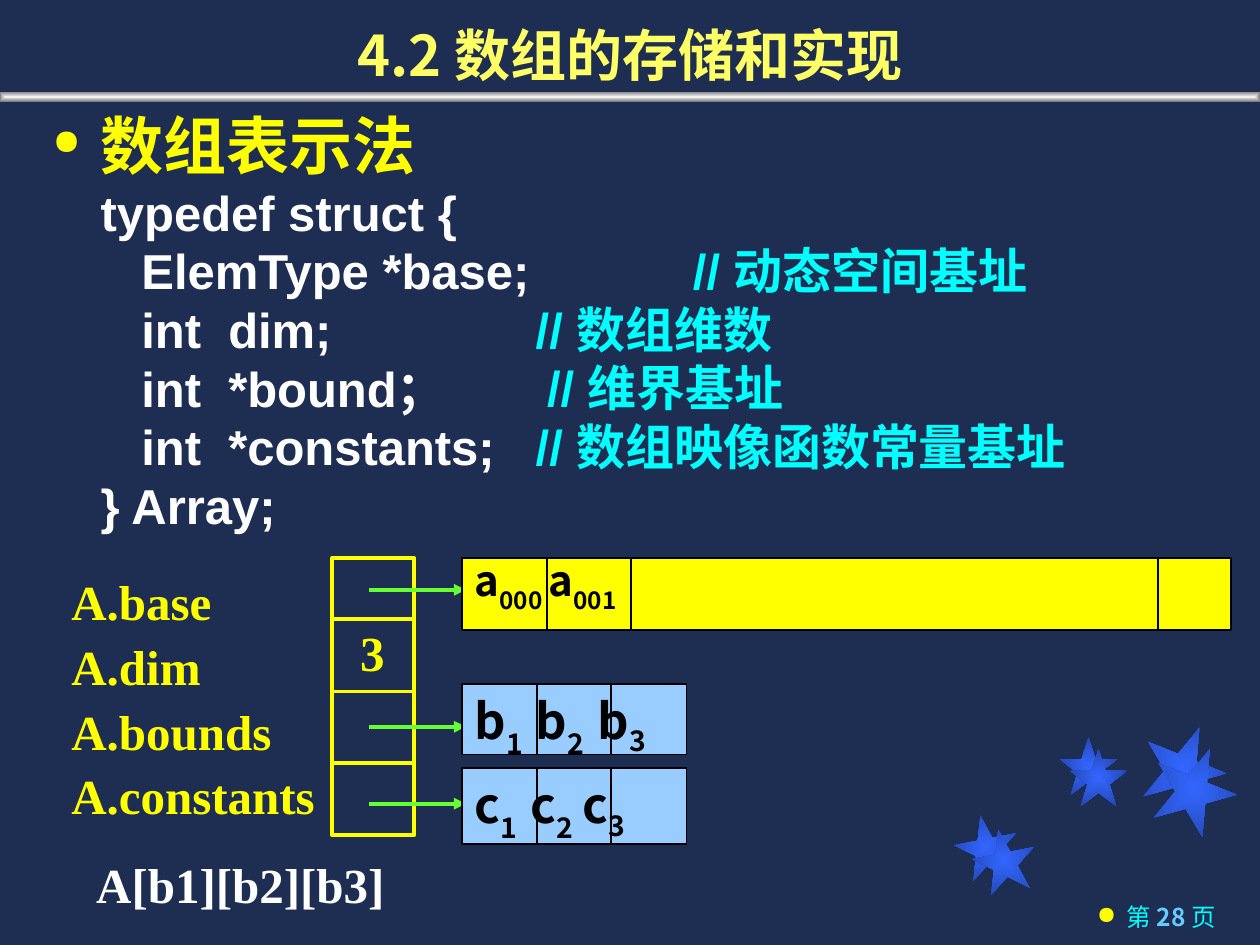
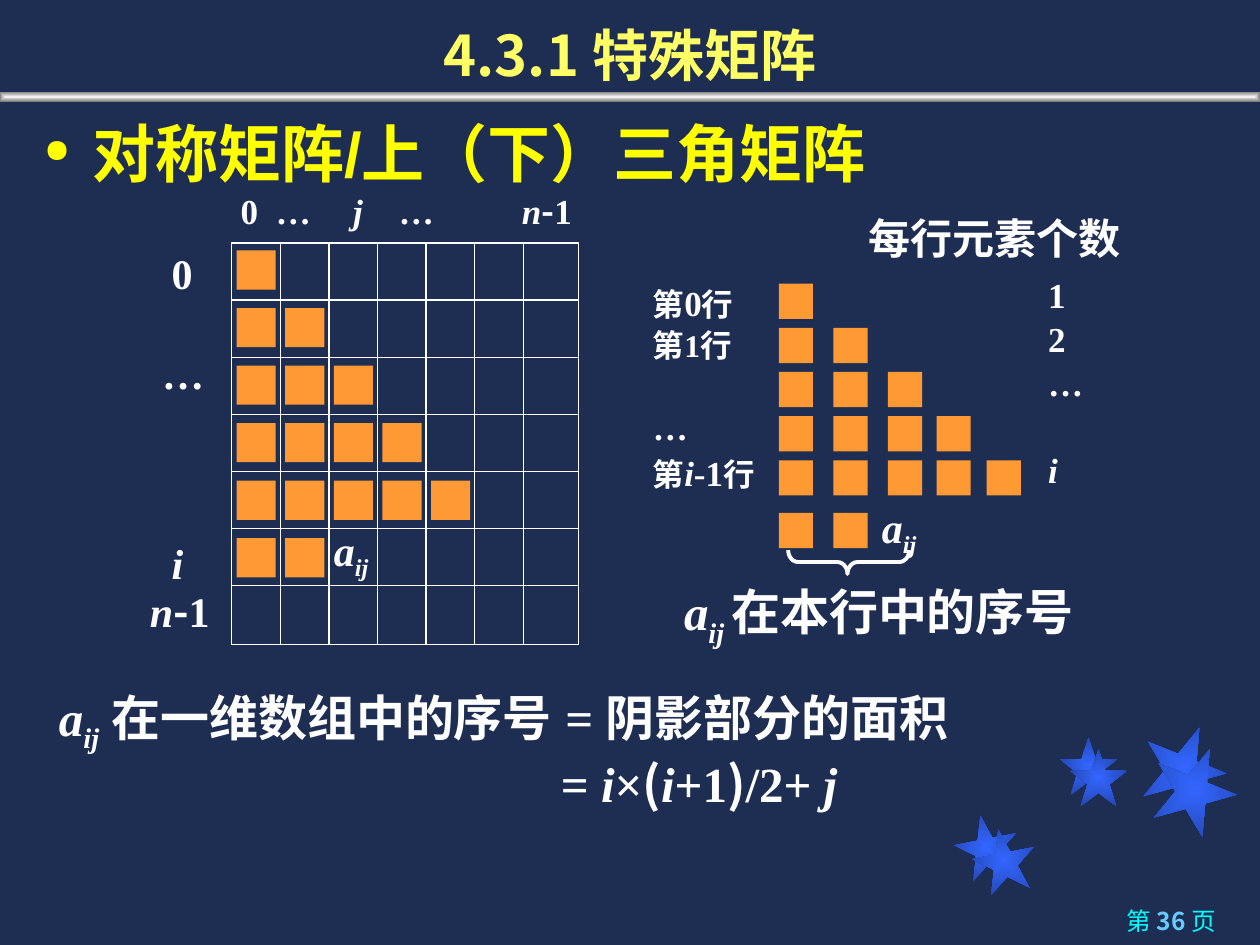
from lxml import etree
from pptx import Presentation
from pptx.dml.color import RGBColor
from pptx.enum.shapes import MSO_CONNECTOR, MSO_SHAPE
from pptx.enum.text import MSO_ANCHOR, PP_ALIGN
from pptx.oxml.ns import qn
from pptx.util import Cm, Pt

RECTANGLE = MSO_SHAPE.RECTANGLE
STAR = MSO_SHAPE.STAR_5_POINT
BRACE = MSO_SHAPE.LEFT_BRACE
STRAIGHT = MSO_CONNECTOR.STRAIGHT
TOP, BOTTOM = MSO_ANCHOR.TOP, MSO_ANCHOR.BOTTOM
CENTER, RIGHT = PP_ALIGN.CENTER, PP_ALIGN.RIGHT

NAVY = RGBColor(0x1E, 0x2E, 0x53)
STAR_CORE = RGBColor(0x33, 0x66, 0xFF)
STAR_EDGE = RGBColor(0x24, 0x49, 0xB6)
BAND_CORE = RGBColor(0xF2, 0xF2, 0xF2)
BAND_EDGE = RGBColor(0x80, 0x80, 0x80)
TITLE_YELLOW = RGBColor(0xFF, 0xFF, 0x66)
YELLOW = RGBColor(0xFF, 0xFF, 0x00)
CYAN = RGBColor(0x00, 0xFF, 0xFF)
SKY = RGBColor(0x66, 0xCC, 0xFF)
PALE_BLUE = RGBColor(0x99, 0xCC, 0xFF)
GREEN = RGBColor(0x66, 0xFF, 0x33)
ORANGE = RGBColor(0xFF, 0x99, 0x33)
WHITE = RGBColor(0xFF, 0xFF, 0xFF)
BLACK = RGBColor(0x00, 0x00, 0x00)

SANS, SERIF, HEI = "Arial", "Times New Roman", "Noto Sans CJK SC"
EAST_ASIAN = {SANS: SANS, SERIF: SANS, HEI: HEI}
DEFAULT_INSETS = (0.25, 0.13, 0.25, 0.13)
NO_INSETS = (0, 0, 0, 0)
ITALIC = {"italic": True}
SUB = {"italic": True, "baseline": -25}
A_IJ = [("a", ITALIC), ("ij", SUB)]


def style(name, size, color, bold=True):
    return {"name": name, "size": size, "color": color, "bold": bold}


HEADING = style(SANS, 36, YELLOW)
SERIF_24 = style(SERIF, 24, WHITE)
SERIF_20 = style(SERIF, 20, WHITE)
SERIF_28 = style(SERIF, 28, WHITE)
LABEL = style(SERIF, 28, YELLOW)


def add_part(parent, tag, **values):
    part = etree.SubElement(parent, qn(tag))
    for key, value in values.items():
        part.set(key, str(value))
    return part


def format_span(span, values):
    values = dict(values)
    baseline = values.pop("baseline", 0)
    span.font.color.rgb = values.pop("color")
    values["size"] = Pt(values["size"])
    for key, value in values.items():
        setattr(span.font, key, value)
    properties = span._r.get_or_add_rPr()
    if baseline:
        properties.set("baseline", str(baseline * 1000))
    add_part(properties, "a:ea", typeface=EAST_ASIAN[values["name"]])


def paragraph(*spans, indent=0, hanging=0, bullet=None, **values):
    return {"spans": spans, "indent": indent, "hanging": hanging,
            "bullet": bullet, "values": values}


def fill_paragraph(para, content, base):
    properties = para._p.get_or_add_pPr()
    properties.set("marL", str(Cm(content["indent"])))
    properties.set("indent", str(-Cm(content["hanging"])))
    if content["bullet"]:
        color = add_part(properties, "a:buClr")
        add_part(color, "a:srgbClr", val=YELLOW)
        add_part(properties, "a:buSzPct", val=content["bullet"] * 1000)
        add_part(properties, "a:buChar", char="●")
    for key, value in content["values"].items():
        setattr(para, key, value)
    for text, change in content["spans"]:
        span = para.add_run()
        span.text = text
        format_span(span, {**base, **change})


def add_text(page, box, base, *contents, insets=DEFAULT_INSETS, anchor=TOP):
    frame = page.shapes.add_textbox(*map(Cm, box)).text_frame
    sides = ("margin_left", "margin_top", "margin_right", "margin_bottom")
    values = dict(zip(sides, map(Cm, insets)), word_wrap=True, vertical_anchor=anchor)
    for key, value in values.items():
        setattr(frame, key, value)
    for index, content in enumerate(contents):
        para = frame.add_paragraph() if index else frame.paragraphs[0]
        fill_paragraph(para, content, base)


def add_figure(page, kind, box, fill=None, line=None, weight=1.0):
    shape = page.shapes.add_shape(kind, *map(Cm, box))
    shape.shadow.inherit = False
    if fill is None:
        shape.fill.background()
    else:
        shape.fill.solid()
        shape.fill.fore_color.rgb = fill
    if line is None:
        shape.line.fill.background()
    else:
        shape.line.color.rgb = line
        shape.line.width = Pt(weight)
    return shape


def glow(shape, core, edge):
    shape.fill.gradient()
    for stop, color in zip(shape.fill.gradient_stops, (core, edge)):
        stop.color.rgb = color
    gradient = shape._element.spPr.find(qn("a:gradFill"))
    gradient.remove(gradient.find(qn("a:lin")))
    center = add_part(gradient, "a:path", path="shape")
    add_part(center, "a:fillToRect", l=50000, t=50000, r=50000, b=50000)


def add_line(page, start, end, color, weight):
    line = page.shapes.add_connector(STRAIGHT, *map(Cm, start + end))
    line.line.color.rgb = color
    line.line.width = Pt(weight)
    add_part(line._element.spPr, "a:effectLst")
    return line


def add_grid(page, box, columns, rows, color, weight, fill=None):
    left, top, width, height = box
    add_figure(page, RECTANGLE, box, fill, color, weight)
    for offset in rows:
        add_line(page, (left, top + offset), (left + width, top + offset), color, weight)
    for offset in columns:
        add_line(page, (left + offset, top), (left + offset, top + height), color, weight)


def add_staircase(page, lefts, tops, counts, width, height):
    for top, count in zip(tops, counts):
        for left in lefts[:count]:
            add_figure(page, RECTANGLE, (left, top, width, height), ORANGE)


def add_stars(page):
    pairs = [
        (1.27, 349, (19.25, 16.43), (19.61, 16.71)),
        (1.17, 0, (21.36, 14.86), (21.56, 15.09)),
        (1.7, 22, (23.01, 14.61), (23.22, 15.04)),
    ]
    for size, angle, *corners in pairs:
        for left, top in corners:
            star = add_figure(page, STAR, (left, top, size, size))
            star.rotation = angle
            glow(star, STAR_CORE, STAR_EDGE)


def add_page(deck, title, number, footer_top=18.14, bullet=None):
    page = deck.slides.add_slide(deck.slide_layouts[6])
    page.background.fill.solid()
    page.background.fill.fore_color.rgb = NAVY
    add_stars(page)
    glow(add_figure(page, RECTANGLE, (0, 1.85, 25.4, 0.2)), BAND_CORE, BAND_EDGE)
    indent = 0.6 if bullet else 0
    add_text(page, (18.08, footer_top, 6.68, 0.91), style(HEI, 14, CYAN, False),
             paragraph(("第 ", {}), (f"{number} ", {"color": SKY, "bold": True}), ("页", {}),
                       indent=indent, hanging=indent, bullet=bullet, alignment=RIGHT))
    add_text(page, (0, 0, 25.4, 1.9), style(HEI, 32, TITLE_YELLOW),
             paragraph((title, {}), alignment=CENTER), anchor=BOTTOM)
    return page


def add_heading_and_code(page, box):
    left, top, width, height = box
    code = style(SANS, 28, WHITE)
    lines = ("typedef struct {", "   ElemType *base;", "   int  dim;",
             "   int  *bound；", "   int  *constants;", "} Array;")
    exact = Pt(33.5)
    add_text(page, box, HEADING,
             paragraph(("数组表示法", {}), indent=0.97, hanging=0.97, bullet=56,
                       line_spacing=Pt(43)),
             *[paragraph((line, code), indent=0.97, line_spacing=exact) for line in lines])
    notes = [(13.16, "动态空间基址"), (9.99, "数组维数"),
             (10.22, "维界基址"), (9.99, "数组映像函数常量基址")]
    for index, (offset, note) in enumerate(notes):
        add_text(page, (left + offset, top + 2.83 + 1.18 * index, 12, 1.18),
                 {**code, "color": CYAN},
                 paragraph((f"// {note}", {}), line_spacing=exact), insets=NO_INSETS)


def add_array_row(page, box, splits, letter, items, fill, size, rise=0):
    left, top, width, height = box
    add_grid(page, box, splits, (), BLACK, 1, fill)
    for offset, subscript in items:
        drop = {"baseline": -25 if subscript == "3" else -30}
        add_text(page, (left + offset, top - rise, 2.2, height), style(HEI, size, BLACK),
                 paragraph((letter, {}), (subscript, drop)))


def add_memory_diagram(page, box):
    left, top, width, height = box
    add_grid(page, (left + 5.51, top, 1.65, 5.59), (), (1.22, 2.69, 4.14), YELLOW, 2.25)
    names = ("A.base", "A.dim", "A.bounds", "A.constants")
    add_text(page, (left, top + 0.03, 5.64, 5.49), LABEL,
             *[paragraph((name, {}), line_spacing=1.1) for name in names])
    add_text(page, (left + 5.82, top + 1.17, 1.3, 1.45), LABEL, paragraph(("3", {})))
    for offset in (0.64, 3.4, 4.95):
        arrow = add_line(page, (left + 6.25, top + offset), (left + 8.2, top + offset),
                         GREEN, 2.25)
        add_part(arrow.line._get_or_add_ln(), "a:tailEnd", type="triangle")
    row_left = left + 8.13
    add_array_row(page, (row_left, top + 2.54, 4.52, 1.42), (1.5, 2.99), "b",
                  ((0, "1"), (1.23, "2"), (2.48, "3")), PALE_BLUE, 28)
    add_array_row(page, (row_left, top + 4.24, 4.52, 1.52), (1.5, 2.99), "c",
                  ((0, "1"), (1.13, "2"), (2.18, "3")), PALE_BLUE, 28)
    add_array_row(page, (row_left, top, 15.49, 1.45), (1.7, 3.4, 14.02), "a",
                  ((0, "000"), (1.49, "001")), YELLOW, 24, rise=0.2)
    add_text(page, (left + 0.5, top + 5.84, 8.92, 1.45), SERIF_28,
             paragraph(("A[b1][b2][b3]", {})))


def add_matrix(page, box):
    left, top, width, height = box
    column, row = 0.98, 1.15
    last_index = [("n", ITALIC), ("-", {"name": HEI}), ("1", {})]
    exact = Pt(27.6)
    add_text(page, (left - 1.65, top + 0.13, 1.6, 8), SERIF_24,
             paragraph(("0", {}), indent=0.44, line_spacing=exact),
             paragraph(("…", {}), indent=0.25, line_spacing=exact, space_before=Pt(29.5)),
             paragraph(("i", ITALIC), indent=0.44, line_spacing=exact, space_before=Pt(81)),
             paragraph(*last_index, line_spacing=exact), insets=NO_INSETS)
    headers = [(0, [("0", {})]), (0.71, [("…", {})]), (2.27, [("j", ITALIC)]),
               (3.19, [("…", {})]), (5.67, last_index)]
    for offset, spans in headers:
        add_text(page, (left + 0.18 + offset, top - 1.07, 1.5, 1.19), SERIF_20,
                 paragraph(*spans, line_spacing=Pt(23.5)), insets=NO_INSETS)
    add_grid(page, box, [column * i for i in range(1, 7)],
             [row * i for i in range(1, 7)], WHITE, 0.75)
    add_staircase(page, [left + 0.1 + column * i for i in range(5)],
                  [top + 0.15 + 1.16 * i for i in range(6)], (1, 2, 3, 4, 5, 2), 0.79, 0.79)
    add_text(page, (left + 2.06, top + 5.92, 0.95, 0.79), SERIF_24,
             paragraph(*A_IJ, line_spacing=0.64), insets=NO_INSETS)


def add_row_counts(page, box):
    left, top, width, height = box
    exact = Pt(22)
    add_text(page, (left + 4.34, top, 5.8, 1.22), SERIF_24,
             paragraph(("每行元素个数", {})), insets=NO_INSETS)
    add_text(page, (left + 7.97, top + 1.3, 1.02, 4.78), SERIF_20,
             paragraph(("1", {}), line_spacing=exact),
             paragraph(("2", {}), line_spacing=exact, space_before=Pt(3)),
             paragraph(("…", {}), line_spacing=exact, space_before=Pt(3)),
             paragraph(("i", ITALIC), line_spacing=exact, space_before=Pt(27.7)),
             insets=NO_INSETS)
    small = {"size": 18}
    add_text(page, (left, top + 1.45, 2.6, 4.78), SERIF_20,
             paragraph(("第", small), ("0", {}), ("行", small), line_spacing=exact),
             paragraph(("第1行", small), line_spacing=exact, space_before=Pt(1)),
             paragraph(("…", {}), line_spacing=exact, space_before=Pt(26)),
             paragraph(("第", small), ("i", ITALIC), ("-1", {}), ("行", small),
                       line_spacing=exact, space_before=Pt(4.5)), insets=NO_INSETS)
    brace = add_figure(page, BRACE, (left + 3.71, top + 5.82, 0.48, 2.44), None, WHITE, 2.25)
    brace.rotation = 270
    brace.adjustments[0], brace.adjustments[1] = 0.42, 0.49
    tops = [top + 1.43 + 0.89 * i for i in range(5)] + [top + 6.05]
    add_staircase(page, [left + 2.54 + step for step in (0, 1.1, 2.2, 3.18, 4.19)],
                  tops, (1, 2, 3, 4, 5, 2), 0.69, 0.71)
    add_text(page, (left + 4.62, top + 6.07, 0.99, 0.69), SERIF_24,
             paragraph(*A_IJ, line_spacing=0.64), insets=NO_INSETS)
    add_text(page, (left + 0.63, top + 7.44, 8.66, 1.14), SERIF_28,
             paragraph(*A_IJ, (" ", SUB), ("在本行中的序号", {})), insets=NO_INSETS)


def add_formula(page, box):
    paren = {"name": HEI}
    add_text(page, box, SERIF_28,
             paragraph(*A_IJ, (" 在一维数组中的序号 = 阴影部分的面积", {})),
             paragraph(("= ", {}), ("i", ITALIC), ("×", {}), ("(", paren), ("i", ITALIC),
                       ("+1", {}), (")", paren), ("/2+ ", {}), ("j", ITALIC), indent=10.12),
             insets=(0.1, 0.03, 0, 0.03))


def main():
    deck = Presentation()
    deck.slide_width, deck.slide_height = Cm(25.4), Cm(19.05)
    storage = add_page(deck, "4.2 数组的存储和实现", 28, footer_top=18.06, bullet=100)
    add_heading_and_code(storage, (0.81, 2.03, 24, 9.37))
    add_memory_diagram(storage, (1.19, 11.25, 23.62, 7.29))
    matrices = add_page(deck, "4.3.1 特殊矩阵", 36)
    add_text(matrices, (0.64, 2.03, 24.03, 1.75), HEADING,
             paragraph(("对称矩阵/上（下）三角矩阵", {}), indent=0.97, hanging=0.97,
                       bullet=52, line_spacing=Pt(47.5)))
    add_formula(matrices, (1.09, 13.82, 24.1, 3.28))
    add_matrix(matrices, (4.67, 4.9, 6.99, 8.1))
    add_row_counts(matrices, (13.16, 4.29, 10.14, 8.58))
    deck.save("out.pptx")


if __name__ == "__main__":
    main()
